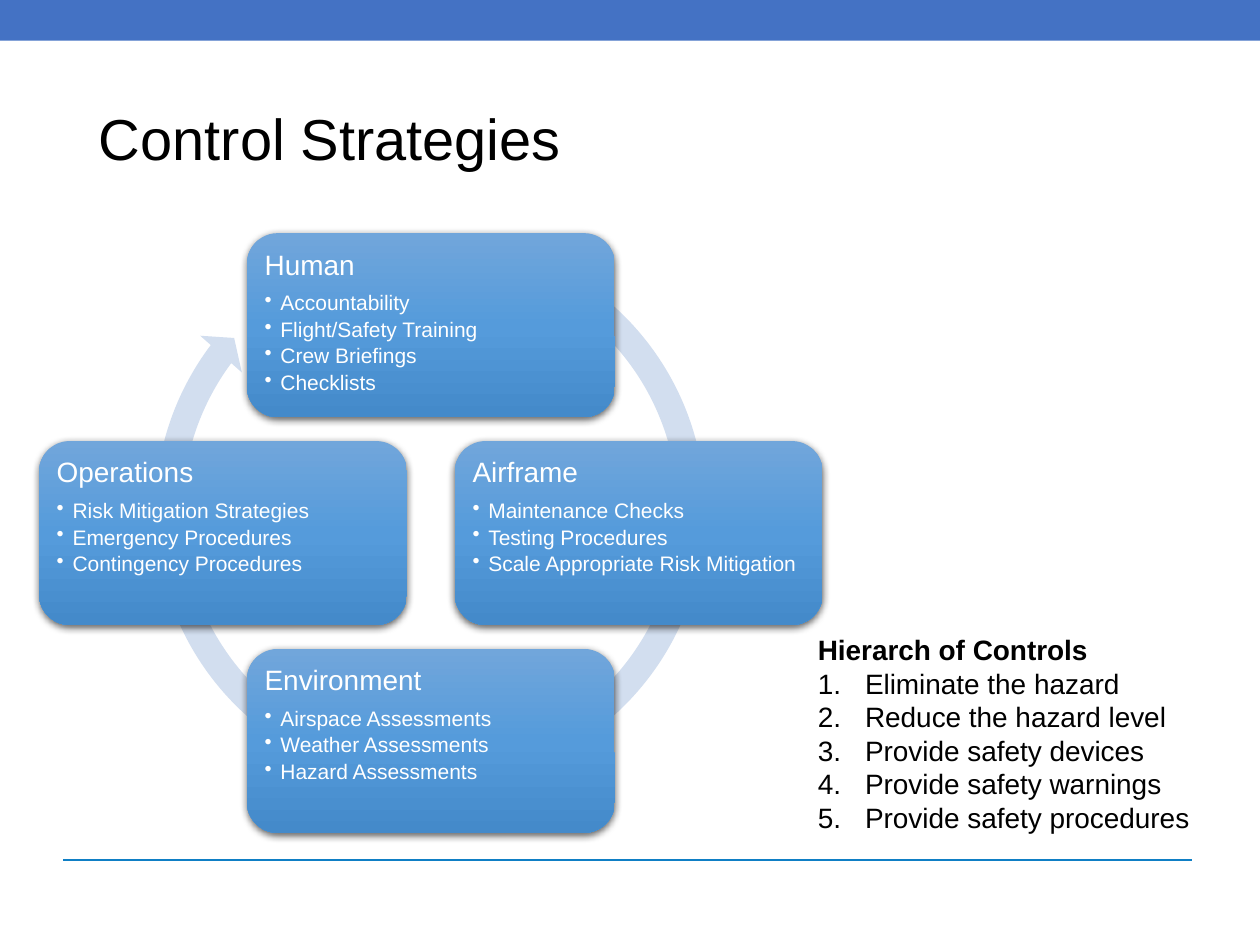
from dataclasses import dataclass
from math import cos, pi, sin

from lxml.etree import SubElement
from pptx import Presentation
from pptx.dml.color import RGBColor as RGB
from pptx.enum.shapes import MSO_CONNECTOR as Link, MSO_SHAPE as Kind
from pptx.enum.text import MSO_ANCHOR as Anchor, MSO_AUTO_SIZE as Fit, PP_ALIGN as Align
from pptx.oxml.ns import qn
from pptx.util import Pt


@dataclass(frozen=True)
class Theme:
    font: str = "Arial"
    ink: str = "000000"
    light: str = "FFFFFF"
    band: str = "4472C4"
    rule: str = "0F7FC5"
    ring: str = "D2DEEF"
    blues: tuple[tuple[int, str], ...] = ((0, "71A6DB"), (50, "559BDB"), (100, "448ACA"))
    title: float = 33
    head: float = 16
    item: float = 12


@dataclass(frozen=True)
class Card:
    head: str
    items: tuple[str, ...]


THEME = Theme()
WIDTH, HEIGHT = 720, 540
CARD_W, CARD_H = 210.2, 105.1
MID_X, MID_Y, REACH = 246.2, 304.6, 118.8

# Clockwise from the top of the ring
CARDS = (
    Card("Human", ("Accountability", "Flight/Safety Training",
                   "Crew Briefings", "Checklists")),
    Card("Airframe", ("Maintenance Checks", "Testing Procedures",
                      "Scale Appropriate Risk Mitigation")),
    Card("Environment", ("Airspace Assessments", "Weather Assessments",
                         "Hazard Assessments")),
    Card("Operations", ("Risk Mitigation Strategies", "Emergency Procedures",
                        "Contingency Procedures")),
)
STEPS = ("Eliminate the hazard", "Reduce the hazard level", "Provide safety devices",
         "Provide safety warnings", "Provide safety procedures")


def add_kind(shapes, kind: Kind, x: float, y: float, w: float, h: float):
    """Add a preset shape with no outline and no shadow."""
    shape = shapes.add_shape(kind, Pt(x), Pt(y), Pt(w), Pt(h))
    shape.line.fill.background()
    shape.shadow.inherit = False
    return shape


def add_flat(shapes, kind: Kind, x: float, y: float, w: float, h: float, color: str):
    shape = add_kind(shapes, kind, x, y, w, h)
    shape.fill.solid()
    shape.fill.fore_color.rgb = RGB.from_string(color)
    return shape


def add_box(shapes, x: float, y: float, w: float, h: float):
    box = shapes.add_textbox(Pt(x), Pt(y), Pt(w), Pt(h))
    box.text_frame.word_wrap = True
    return box.text_frame


def set_blues(shape) -> None:
    """Fill from top to bottom with the theme's three blues."""
    shape.fill.gradient()
    shape.fill.gradient_angle = 270
    stops = shape.element.spPr.find(qn("a:gradFill")).find(qn("a:gsLst"))
    stops.clear()
    for pos, color in THEME.blues:
        stop = SubElement(stops, qn("a:gs"), pos=str(pos * 1000))
        SubElement(stop, qn("a:srgbClr"), val=color)


def set_shadow(shape) -> None:
    fx = shape.element.spPr.find(qn("a:effectLst"))
    drop = SubElement(fx, qn("a:outerShdw"), blurRad=str(Pt(4.5)), dist=str(Pt(1.5)),
                      dir="5400000", algn="ctr", rotWithShape="0")
    color = SubElement(drop, qn("a:srgbClr"), val=THEME.ink)
    SubElement(color, qn("a:alpha"), val="63000")


def set_mark(para, indent: float, tag: str, **attrs: str) -> None:
    """Give a paragraph a hanging bullet or number."""
    props = para._p.get_or_add_pPr()
    props.set("marL", str(Pt(indent)))
    props.set("indent", str(Pt(-indent)))
    SubElement(props, qn(tag), **attrs)


def style(para, size: float, color: str, bold: bool = False) -> None:
    para.alignment = Align.LEFT
    font = para.font
    font.name, font.size, font.bold = THEME.font, Pt(size), bold
    font.color.rgb = RGB.from_string(color)


def add_card(shapes, card: Card, x: float, y: float) -> None:
    """Draw a card centred on x, y."""
    shape = add_kind(shapes, Kind.ROUNDED_RECTANGLE,
                     x - CARD_W / 2, y - CARD_H / 2, CARD_W, CARD_H)
    set_blues(shape)
    set_shadow(shape)
    frame = shape.text_frame
    frame.word_wrap = True
    frame.vertical_anchor = Anchor.TOP
    frame.margin_left = frame.margin_right = Pt(5)
    frame.margin_top = frame.margin_bottom = Pt(5)
    head = frame.paragraphs[0]
    head.text = card.head
    head.line_spacing, head.space_after = 0.9, Pt(6.4)
    style(head, THEME.head, THEME.light)
    for item in card.items:
        para = frame.add_paragraph()
        para.text, para.level = item, 1
        set_mark(para, 9, "a:buChar", char="•")
        para.line_spacing, para.space_after = 0.9, Pt(2.3)
        style(para, THEME.item, THEME.light)


def add_ring(shapes) -> None:
    ring = add_flat(shapes, Kind.CIRCULAR_ARROW, 80.6, 126.7, 330.5, 330.5, THEME.ring)
    for i, value in enumerate((0.047, 2.729, 130.116, 179.092, 0.048)):
        ring.adjustments[i] = value


def add_title(shapes) -> None:
    frame = add_box(shapes, 49.5, 28.8, 621, 104.4)
    frame.vertical_anchor = Anchor.MIDDLE
    para = frame.paragraphs[0]
    para.text, para.line_spacing = "Control Strategies", 0.9
    style(para, THEME.title, THEME.ink)


def add_steps(shapes) -> None:
    frame = add_box(shapes, 460.2, 358, 229.7, 123.8)
    frame.auto_size = Fit.SHAPE_TO_FIT_TEXT
    head = frame.paragraphs[0]
    head.text = "Hierarch of Controls"
    style(head, THEME.head, THEME.ink, bold=True)
    for step in STEPS:
        para = frame.add_paragraph()
        para.text = step
        set_mark(para, 27, "a:buAutoNum", type="arabicPeriod")
        style(para, THEME.head, THEME.ink)


def add_rule(shapes) -> None:
    rule = shapes.add_connector(Link.STRAIGHT, Pt(36), Pt(491.5), Pt(681), Pt(491.5))
    rule.line.width = Pt(1.5)
    rule.line.color.rgb = RGB.from_string(THEME.rule)
    SubElement(rule._element.spPr, qn("a:effectLst"))


def main() -> None:
    deck = Presentation()
    deck.slide_width, deck.slide_height = Pt(WIDTH), Pt(HEIGHT)
    shapes = deck.slides.add_slide(deck.slide_layouts[6]).shapes
    add_rule(shapes)
    add_flat(shapes, Kind.RECTANGLE, 0, 0, WIDTH, 23.3, THEME.band)
    add_title(shapes)
    add_ring(shapes)
    for i, card in enumerate(CARDS):
        turn = i * 2 * pi / len(CARDS)
        add_card(shapes, card, MID_X + REACH * sin(turn), MID_Y - REACH * cos(turn))
    add_steps(shapes)
    deck.save("out.pptx")


if __name__ == "__main__":
    main()
